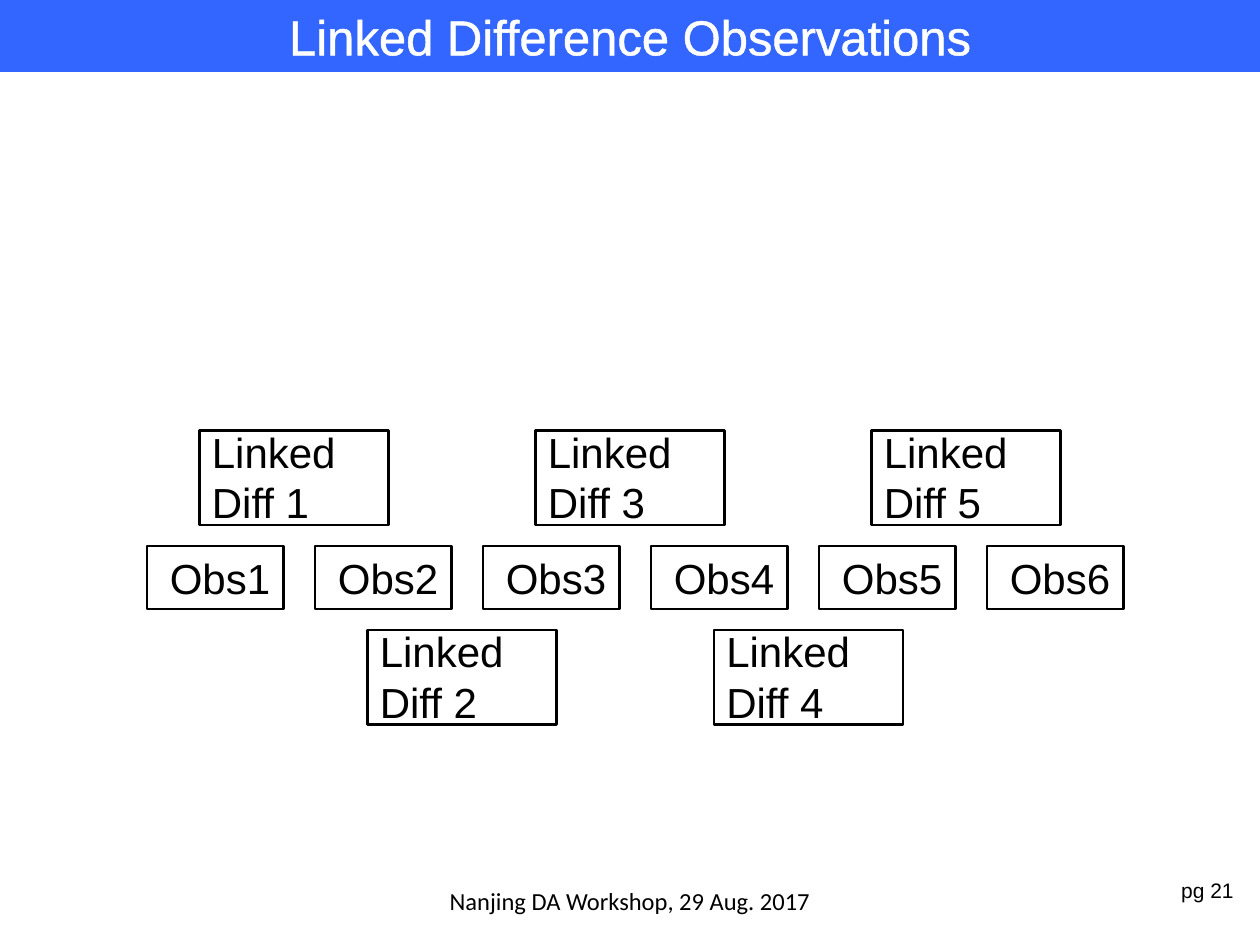
from lxml import etree
from pptx import Presentation
from pptx.dml.color import RGBColor
from pptx.enum.shapes import MSO_SHAPE
from pptx.enum.text import MSO_ANCHOR, MSO_AUTO_SIZE, PP_ALIGN
from pptx.oxml.ns import qn
from pptx.util import Inches, Pt

RECT = MSO_SHAPE.RECTANGLE
TOP, MID = MSO_ANCHOR.TOP, MSO_ANCHOR.MIDDLE
LEFT, MITTE = PP_ALIGN.LEFT, PP_ALIGN.CENTER
FIXED = MSO_AUTO_SIZE.NONE
BLACK, WHITE, BLUE = "000000", "FFFFFF", "3366FF"

deck = Presentation()
deck.slide_width, deck.slide_height = Inches(10), Inches(7.5)
unit = deck.slide_width // 120
slide = deck.slides.add_slide(deck.slide_layouts[5])


def color(code):
    return RGBColor.from_string(code)


def write(shape, text, size=24, font="Arial", ink=BLACK, align=LEFT, anchor=TOP):
    frame = shape.text_frame
    frame.text = text
    frame.word_wrap = True
    frame.auto_size = FIXED
    frame.vertical_anchor = anchor
    for para in frame.paragraphs:
        para.alignment = align
        for run in para.runs:
            run.font.size = Pt(size)
            run.font.name = font
            run.font.color.rgb = color(ink)


page = slide.shapes.add_textbox(111 * unit, 83 * unit, 8 * unit, 4 * unit)
write(page, "pg 21", size=12, align=MITTE)
foot = slide.shapes.add_textbox(41 * unit, Inches(6.95), 38 * unit, Inches(0.4))
write(foot, "Nanjing DA Workshop, 29 Aug. 2017", size=14, font="Calibri", align=MITTE, anchor=MID)

title = slide.shapes.title
title.left, title.top = 0, 0
title.width, title.height = deck.slide_width, Inches(0.57)
title.fill.solid()
title.fill.fore_color.rgb = color(BLUE)
write(title, "Linked Difference Observations", size=28, ink=WHITE, align=MITTE)
props = title.text_frame.paragraphs[0].runs[0].font._element
edge = etree.Element(qn("a:ln"), w=str(Pt(1.45)))
fill = etree.SubElement(edge, qn("a:solidFill"))
etree.SubElement(fill, qn("a:srgbClr"), val=WHITE)
props.insert(0, edge)

cells = []
for num in range(1, 7):
    col = 16 * num - 2
    cells.append((f"Obs{num}", (col + 1, 52, 12, 6), (col, 52, 13, 6)))
for num, col in enumerate((19, 35, 51, 68, 83), 1):
    row = 41 if num % 2 else 60
    cells.append((f"Linked\nDiff {num}", (col, row - 1, 18, 11), (col, row, 18, 9)))

for text, area, frame in cells:
    group = slide.shapes.add_group_shape()
    label = group.shapes.add_textbox(*[unit * n for n in area])
    write(label, text)
    box = group.shapes.add_shape(RECT, *[unit * n for n in frame])
    box.shadow.inherit = False
    box.fill.background()
    box.line.color.rgb = color(BLACK)
    box.line.width = Pt(1.5)

deck.save("out.pptx")
